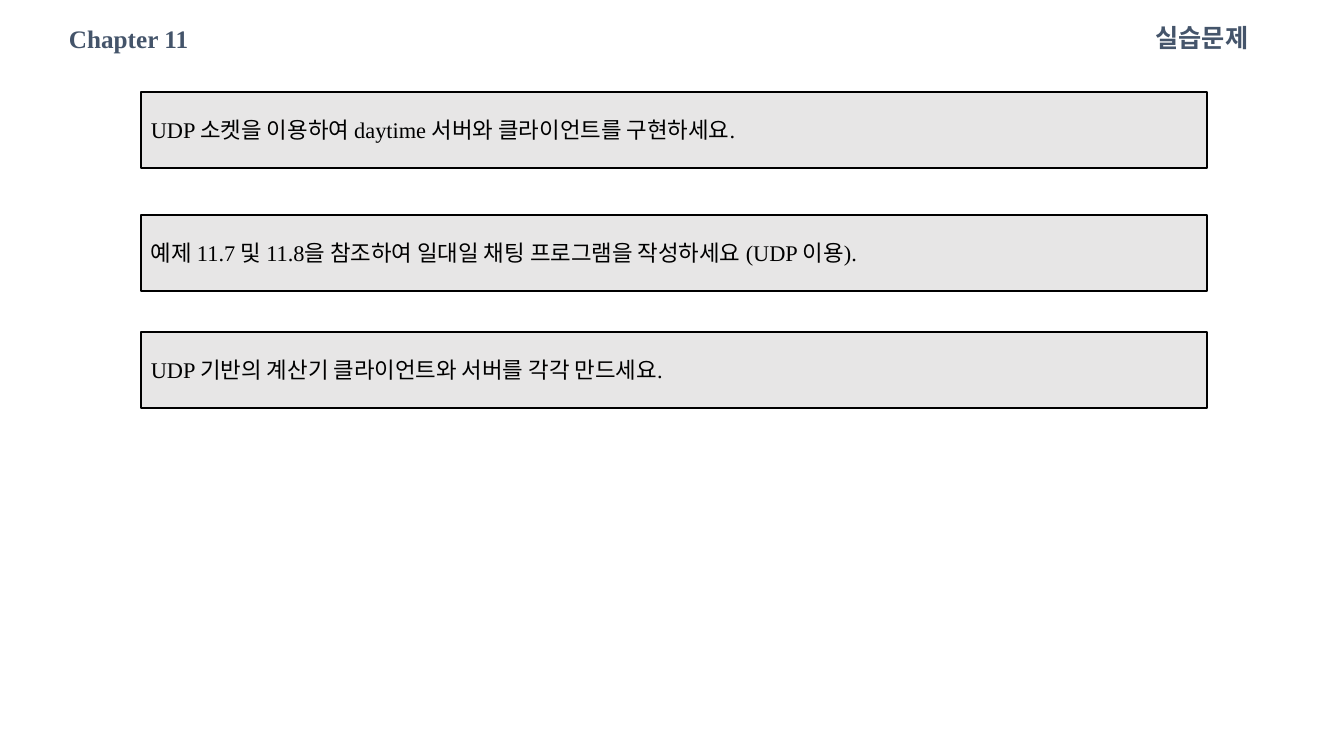
from pptx import Presentation
from pptx.dml.color import RGBColor
from pptx.enum.shapes import MSO_SHAPE
from pptx.enum.text import MSO_ANCHOR, PP_ALIGN
from pptx.util import Emu, Pt

SLATE = RGBColor(0x44, 0x54, 0x6A)
BLACK = RGBColor(0, 0, 0)
PALE_GRAY = RGBColor(0xE7, 0xE6, 0xE6)
FONT = "Times New Roman"

HEADINGS = [
    ("Chapter 11", (59, 17, 143, 42), PP_ALIGN.LEFT),
    ("실습문제 ", (1010, 16, 254, 42), PP_ALIGN.RIGHT),
]
EXERCISES = [
    (92, "UDP 소켓을 이용하여 daytime 서버와 클라이언트를 구현하세요."),
    (215, "예제 11.7 및 11.8을 참조하여 일대일 채팅 프로그램을 작성하세요 (UDP 이용)."),
    (332, "UDP 기반의 계산기 클라이언트와 서버를 각각 만드세요."),
]
EXERCISE_LEFT, EXERCISE_WIDTH, EXERCISE_HEIGHT = 141, 1066, 76


def px(length):
    return Emu(round(length * 914400 / 100.8))


def write(shape, wording, size, color, align, bold=False):
    frame = shape.text_frame
    frame.word_wrap = False
    frame.vertical_anchor = MSO_ANCHOR.MIDDLE
    line = frame.paragraphs[0]
    line.alignment = align
    run = line.add_run()
    run.text = wording
    run.font.name = FONT
    run.font.size = Pt(size)
    run.font.bold = bold
    run.font.color.rgb = color


def main():
    deck = Presentation()
    deck.slide_width, deck.slide_height = px(1344), px(756)
    slide = deck.slides.add_slide(deck.slide_layouts[6])

    for wording, place, align in HEADINGS:
        heading = slide.shapes.add_textbox(*map(px, place))
        write(heading, wording, 18, SLATE, align, bold=True)

    for top, wording in EXERCISES:
        place = (EXERCISE_LEFT, top, EXERCISE_WIDTH, EXERCISE_HEIGHT)
        exercise = slide.shapes.add_shape(MSO_SHAPE.RECTANGLE, *map(px, place))
        exercise.shadow.inherit = False
        exercise.fill.solid()
        exercise.fill.fore_color.rgb = PALE_GRAY
        exercise.line.color.rgb = BLACK
        exercise.line.width = Pt(2)
        write(exercise, wording, 16, BLACK, PP_ALIGN.JUSTIFY)

    deck.save("out.pptx")


if __name__ == "__main__":
    main()
